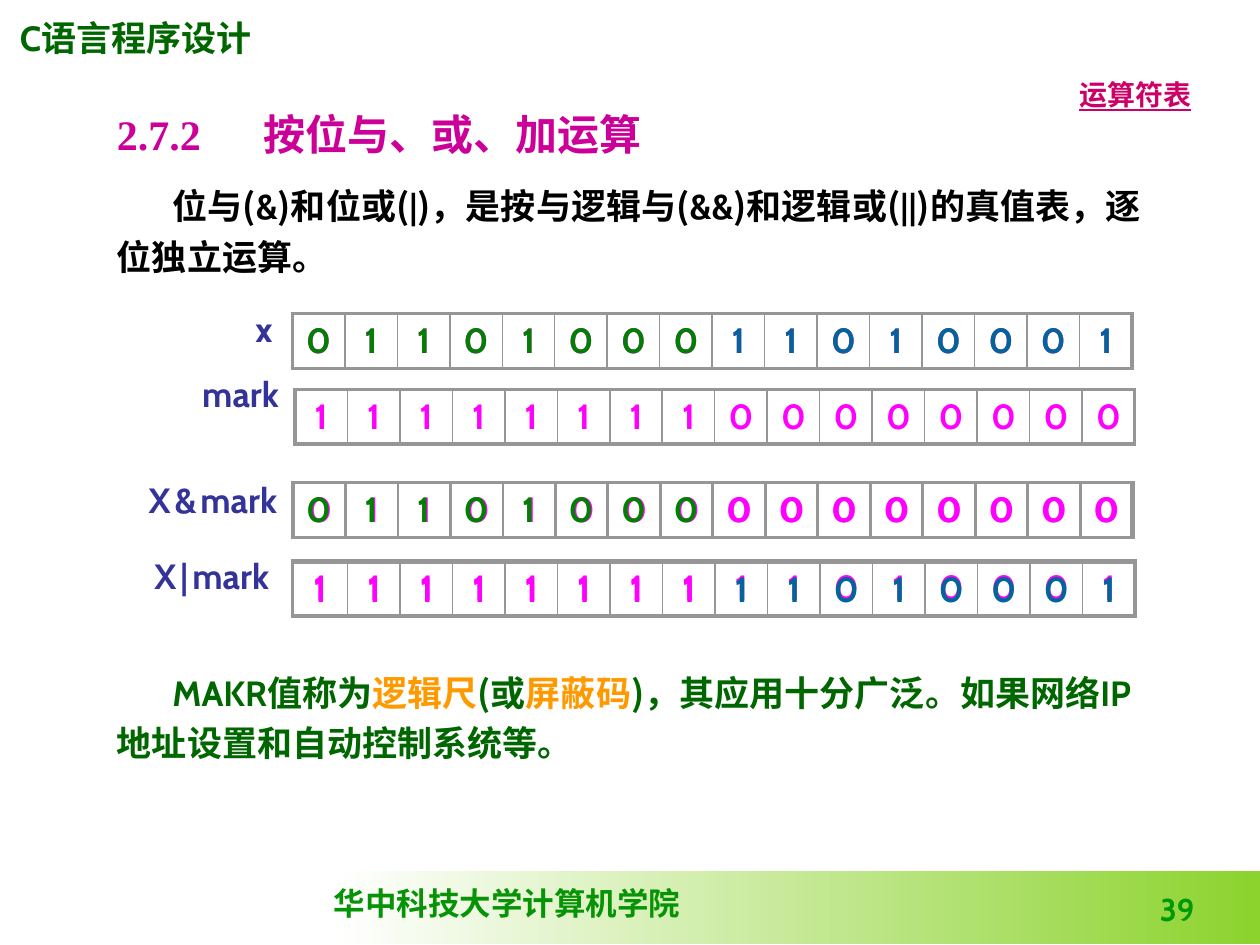
from dataclasses import dataclass

from lxml.etree import SubElement
from pptx import Presentation
from pptx.dml.color import RGBColor
from pptx.enum.shapes import MSO_SHAPE as Shape
from pptx.enum.text import MSO_ANCHOR as Anchor, PP_ALIGN as Align
from pptx.oxml import parse_xml
from pptx.oxml.ns import nsdecls, qn
from pptx.util import Inches, Pt


@dataclass(frozen=True)
class Theme:
    latin: str = "Cabin"
    cjk: str = "Noto Sans CJK SC"
    serif: str = "Times New Roman"
    black: str = "000000"
    white: str = "FFFFFF"
    band: str = "8CD32D"
    footer: str = "069406"
    number: str = "009900"
    course: str = "006600"
    title: str = "CC0099"
    link: str = "CC0066"
    label: str = "333399"
    accent: str = "FF9900"
    x_bit: str = "008000"
    low_bit: str = "006699"
    mark_bit: str = "FF00FF"
    border: str = "969696"
    title_size: int = 24
    body_size: int = 20
    footer_size: int = 18
    link_size: int = 16
    gap_size: int = 10
    outer_line: float = 2.25
    inner_line: float = 1


THEME = Theme()


def style_span(span, color, size=THEME.body_size, font=THEME.latin):
    span.font.size = Pt(size)
    span.font.bold = True
    span.font.name = font
    span.font.color.rgb = RGBColor.from_string(color)
    east_asian = SubElement(span.font._element, qn("a:ea"))
    east_asian.set("typeface", THEME.cjk)


def fill_text(box, spans, color, size=THEME.body_size, font=THEME.latin,
              align=Align.LEFT, anchor=Anchor.TOP, wrap=True):
    frame = box.text_frame
    frame.word_wrap = wrap
    frame.vertical_anchor = anchor
    para = frame.paragraphs[0]
    para.alignment = align
    for text, changes in spans:
        span = para.add_run()
        span.text = text
        style_span(span, **{"color": color, "size": size, "font": font, **changes})
    return para


def add_text(page, area, spans, color, **layout):
    return fill_text(page.shapes.add_textbox(*map(Inches, area)), spans, color, **layout)


def add_panel(page, area):
    panel = page.shapes.add_shape(Shape.RECTANGLE, *map(Inches, area))
    panel.shadow.inherit = False
    panel.line.fill.background()
    return panel


def fill_body(box, spans, color):
    para = fill_text(box, spans, color, anchor=Anchor.MIDDLE)
    para.line_spacing = 1.2
    properties = para._p.get_or_add_pPr()
    properties.set("indent", str(Inches(0.44)))
    properties.set("hangingPunct", "0")


def add_title(page, number, text):
    para = add_text(page, (0.83, 0.81, 5.51, 0.5), [(f"{number}\t{text}", {})],
                    THEME.title, size=THEME.title_size, font=THEME.serif)
    stops = SubElement(para._p.get_or_add_pPr(), qn("a:tabLst"))
    SubElement(stops, qn("a:tab"), pos=str(Inches(1.16)), algn="l")


def add_label(page, area, parts):
    spans = [(part, {"size": THEME.gap_size} if part == " " else {}) for part in parts]
    add_text(page, area, spans, THEME.label, align=Align.CENTER)


def set_borders(cell, first, last):
    outer, inner = THEME.outer_line, THEME.inner_line
    widths = {"L": outer if first else inner, "R": outer if last else inner,
              "T": outer, "B": outer}
    for index, (side, width) in enumerate(widths.items()):
        line = parse_xml(
            f'<a:ln{side} {nsdecls("a")} w="{Pt(width)}"><a:solidFill>'
            f'<a:srgbClr val="{THEME.border}"/></a:solidFill></a:ln{side}>')
        cell._tc.get_or_add_tcPr().insert(index, line)


def add_bits(page, left, top, high, low, high_color=THEME.mark_bit,
             low_color=THEME.mark_bit, first_width=5 / 12):
    bits = high + low
    widths = [first_width] + [5 / 12] * (len(bits) - 1)
    table = page.shapes.add_table(1, len(bits), Inches(left), Inches(top),
                                  Inches(sum(widths)), Inches(0.43)).table
    table.first_row = table.horz_banding = False
    for index, (bit, width) in enumerate(zip(bits, widths)):
        table.columns[index].width = Inches(width)
        cell = table.cell(0, index)
        cell.fill.background()
        cell.vertical_anchor = Anchor.MIDDLE
        set_borders(cell, index == 0, index == len(bits) - 1)
        cell.text_frame.text = bit
        para = cell.text_frame.paragraphs[0]
        para.alignment = Align.CENTER
        style_span(para.runs[0], high_color if index < len(high) else low_color)


def add_footer(page):
    band = add_panel(page, (2.67, 6.91, 7.33, 0.58))
    band.fill.gradient()
    band.fill.gradient_angle = 0
    for stop, color in zip(band.fill.gradient_stops, (THEME.white, THEME.band)):
        stop.color.rgb = RGBColor.from_string(color)
    add_text(page, (2.55, 6.97, 2.95, 0.4), [("华中科技大学计算机学院", {})],
             THEME.footer, size=THEME.footer_size, font=THEME.serif, wrap=False)
    add_text(page, (7.5, 6.95, 2.08, 0.46), [("39", {})], THEME.number,
             size=THEME.footer_size, align=Align.RIGHT, anchor=Anchor.BOTTOM)


def add_bit_rows(page):
    x_high, x_low = "01101000", "11010001"
    ones, zeros = "1" * 8, "0" * 8
    add_label(page, (1.9, 2.39, 0.39, 0.43), ["x"])
    add_bits(page, 2.32, 2.49, x_high, x_low)
    add_label(page, (1.43, 2.91, 0.96, 0.43), ["mark"])
    add_bits(page, 2.34, 3.09, ones, zeros)
    add_label(page, (0.98, 3.75, 1.42, 0.43), ["X", " ", "&", " ", "mark"])
    add_bits(page, 2.33, 3.83, x_high, zeros)
    add_bits(page, 2.32, 4.45, ones, x_low, first_width=0.44)
    add_label(page, (0.97, 4.35, 1.42, 0.43), ["X", " ", "|", " ", "mark"])

    add_bits(page, 2.32, 2.49, x_high, x_low, THEME.x_bit, THEME.low_bit)
    add_bits(page, 2.32, 3.83, x_high, zeros, THEME.x_bit)
    add_bits(page, 2.32, 4.46, ones, x_low, low_color=THEME.low_bit, first_width=0.44)


def add_paragraphs(page):
    bracket, accent = {"font": THEME.cjk}, {"color": THEME.accent}
    intro = ["位与", "(", "&", ")", "和位或", "(", "|", ")", "，是按与逻辑与",
             "(", "&&", ")", "和逻辑或", "(", "||", ")", "的真值表，逐位独立运算。"]
    intro_box = page.shapes.add_textbox(*map(Inches, (0.83, 1.35, 8.43, 0.9)))
    fill_body(intro_box, [(text, bracket if text in "()" else {}) for text in intro],
              THEME.black)

    note = add_panel(page, (0.83, 5.21, 8.43, 0.9))
    note.fill.solid()
    note.fill.fore_color.rgb = RGBColor.from_string(THEME.white)
    color = note._element.spPr.find(qn("a:solidFill")).find(qn("a:srgbClr"))
    SubElement(color, qn("a:alpha"), val="80000")
    fill_body(note, [
        ("MAKR值称为", {}), ("逻辑尺", accent), ("(", bracket), ("或", {}),
        ("屏蔽码", accent), (")，其应用十分广泛", bracket),
        ("。如果网络IP地址设置和自动控制系统等。", {}),
    ], THEME.course)


def main():
    deck = Presentation()
    deck.slide_width, deck.slide_height = Inches(10), Inches(7.5)
    page = deck.slides.add_slide(deck.slide_layouts[6])

    add_footer(page)
    add_text(page, (0.06, 0.08, 2.05, 0.43),
             [("C", {}), ("语言程序设计", {"font": THEME.serif})], THEME.course)
    add_title(page, "2.7.2", "按位与、或、加运算")
    add_bit_rows(page)
    add_paragraphs(page)
    link = add_text(page, (8.26, 0.57, 1.5, 0.37), [("运算符表", {})], THEME.link,
                    size=THEME.link_size, align=Align.CENTER)
    link.runs[0].font.underline = True

    deck.save("out.pptx")


if __name__ == "__main__":
    main()
